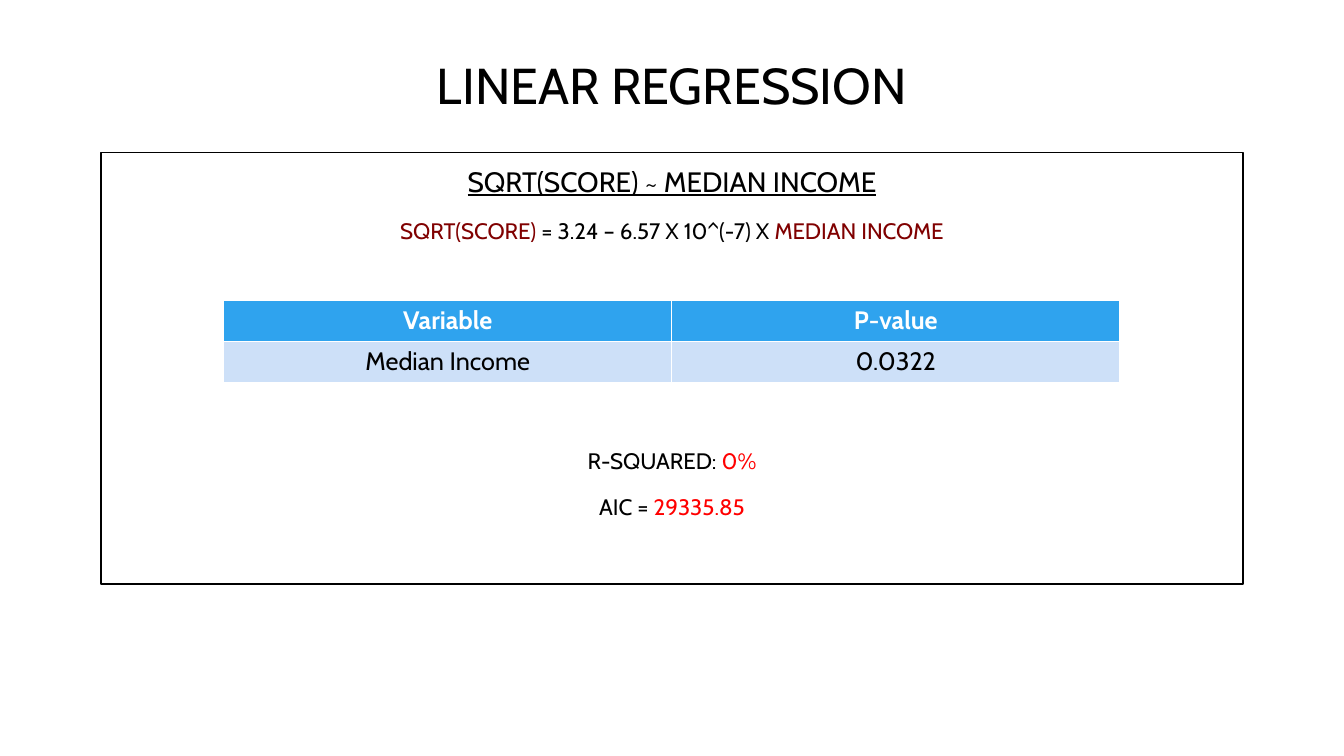
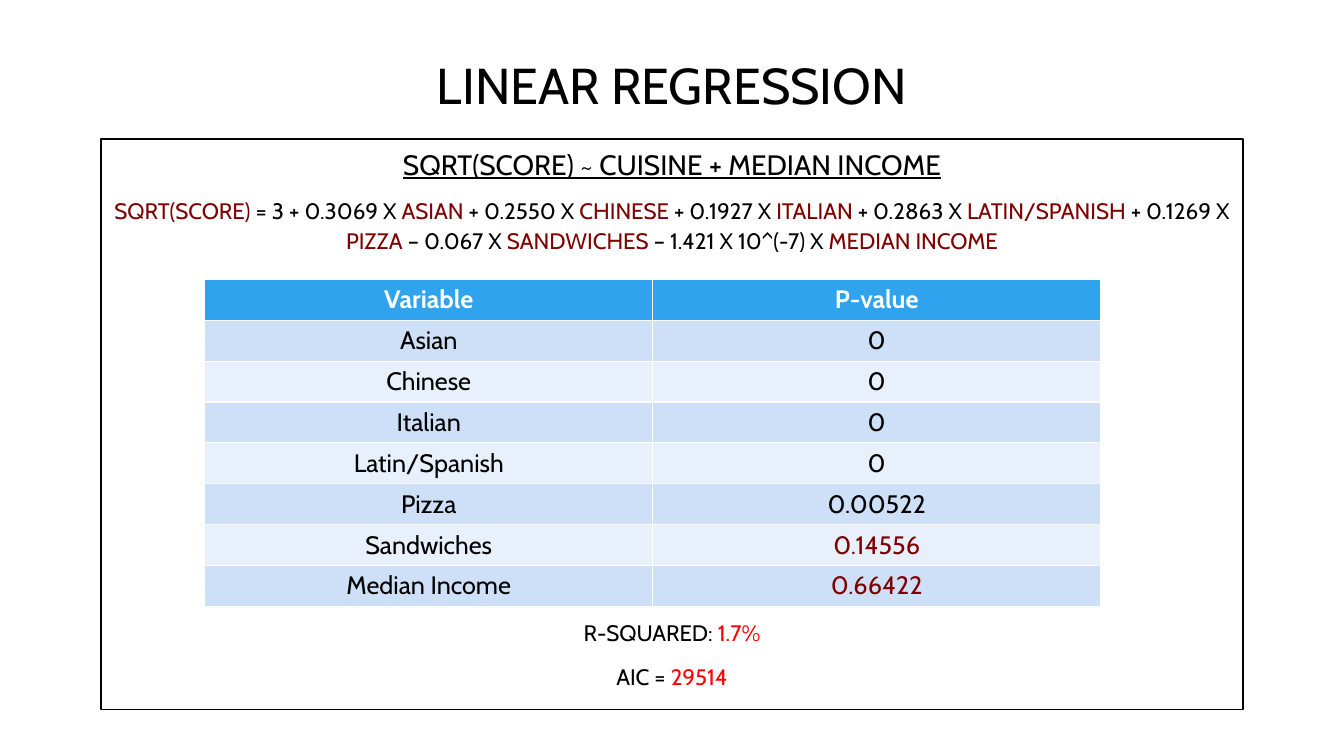
from itertools import cycle

from lxml.etree import SubElement
from pptx import Presentation
from pptx.dml.color import RGBColor
from pptx.enum.text import MSO_ANCHOR, MSO_AUTO_SIZE, PP_ALIGN
from pptx.oxml.ns import qn
from pptx.util import Cm, Pt

FONT = "Cabin"
BLACK = RGBColor(0x00, 0x00, 0x00)
WHITE = RGBColor(0xFF, 0xFF, 0xFF)
MAROON = RGBColor(0x80, 0x00, 0x00)
RED = RGBColor(0xFF, 0x00, 0x00)
HEADER_BLUE = RGBColor(0x2F, 0xA3, 0xEE)
BAND_BLUES = (RGBColor(0xCD, 0xE0, 0xF8), RGBColor(0xE8, 0xF0, 0xFC))

TITLE = "LINEAR REGRESSION"
HEADER = ("Variable", "P-value")
SIGNIFICANCE = 0.05

# Content: equations alternate between variables and coefficients
MODELS = [
    {
        "formula": "SQRT(SCORE) ~ MEDIAN INCOME",
        "equation": ["SQRT(SCORE) ", "= 3.24 – 6.57 X 10^(-7) X ", "MEDIAN INCOME"],
        "p_values": [("Median Income", "0.0322")],
        "r_squared": "0%",
        "aic": "29335.85",
        "panel_top": 3.84, "panel_height": 10.87, "line_spacing": 1.2,
        "table_left": 5.64, "table_top": 7.57, "table_gap": 141,
    },
    {
        "formula": "SQRT(SCORE) ~ CUISINE + MEDIAN INCOME",
        "equation": ["SQRT(SCORE) ", "= 3 + 0.3069 X ", "ASIAN", " + 0.2550 X ",
                     "CHINESE", " + 0.1927 X ", "ITALIAN", " + 0.2863 X ",
                     "LATIN/SPANISH", " + 0.1269 X ", "PIZZA", " – 0.067 X ",
                     "SANDWICHES", " – 1.421 X 10^(-7) X ", "MEDIAN INCOME"],
        "p_values": [("Asian", "0"), ("Chinese", "0"), ("Italian", "0"),
                     ("Latin/Spanish", "0"), ("Pizza", "0.00522"),
                     ("Sandwiches", "0.14556"), ("Median Income", "0.66422")],
        "r_squared": "1.7%",
        "aic": "29514",
        "panel_top": 3.5, "panel_height": 14.38, "line_spacing": 1.1,
        "table_left": 5.16, "table_top": 7.04, "table_gap": 259,
    },
]

# Shared layout, in centimetres
SLIDE_WIDTH, SLIDE_HEIGHT = 33.87, 19.05
MARGIN = 2.54
CONTENT_WIDTH = SLIDE_WIDTH - 2 * MARGIN
TITLE_HEIGHT = 4.45
TABLE_WIDTH, ROW_HEIGHT = 22.58, 1.03


def place(placeholder, top, height):
    placeholder.left, placeholder.top = Cm(MARGIN), Cm(top)
    placeholder.width, placeholder.height = Cm(CONTENT_WIDTH), Cm(height)
    placeholder.text_frame.auto_size = MSO_AUTO_SIZE.NONE


def style(paragraph, size, color=BLACK, bold=False):
    paragraph.alignment = PP_ALIGN.CENTER
    font = paragraph.font
    font.name, font.size, font.bold = FONT, Pt(size), bold
    font.color.rgb = color


def add_title(slide):
    title = slide.shapes.title
    place(title, 0, TITLE_HEIGHT)
    title.text_frame.vertical_anchor = MSO_ANCHOR.MIDDLE
    title.text = TITLE
    heading = title.text_frame.paragraphs[0]
    heading.line_spacing = 0.9
    style(heading, 36)


def add_panel(slide, model):
    panel = slide.placeholders[1]
    place(panel, model["panel_top"], model["panel_height"])
    panel.fill.solid()
    panel.fill.fore_color.rgb = WHITE
    panel.line.color.rgb = BLACK
    panel.line.width = Pt(1.25)

    # Each line: parts, alternating colours, size, space before
    lines = [
        ([model["formula"]], (BLACK,), 20, 0),
        (model["equation"], (MAROON, BLACK), 16, 10),
        (["R-SQUARED: ", model["r_squared"]], (BLACK, RED), 16, model["table_gap"]),
        (["AIC = ", model["aic"]], (BLACK, RED), 16, 10),
    ]
    frame = panel.text_frame
    for index, (parts, colors, size, space_before) in enumerate(lines):
        line = frame.add_paragraph() if index else frame.paragraphs[0]
        properties = line._p.get_or_add_pPr()
        properties.set("marL", "0")
        properties.set("indent", "0")
        SubElement(properties, qn("a:buNone"))
        line.line_spacing = model["line_spacing"]
        line.space_before = Pt(space_before)
        style(line, size)
        for part, color in zip(parts, cycle(colors)):
            run = line.add_run()
            run.text = part
            if color != BLACK:
                run.font.color.rgb = color
    frame.paragraphs[0].font.underline = True


def add_p_values(slide, model):
    rows = [HEADER] + model["p_values"]
    table = slide.shapes.add_table(
        len(rows), len(HEADER), Cm(model["table_left"]), Cm(model["table_top"]),
        Cm(TABLE_WIDTH), Cm(ROW_HEIGHT * len(rows))).table
    for r, row in enumerate(rows):
        is_header = r == 0
        for c, value in enumerate(row):
            cell = table.cell(r, c)
            cell.text = value
            cell.fill.solid()
            cell.fill.fore_color.rgb = HEADER_BLUE if is_header else BAND_BLUES[(r - 1) % 2]
            if is_header:
                color = WHITE
            elif c == 1 and float(value) > SIGNIFICANCE:
                color = MAROON
            else:
                color = BLACK
            style(cell.text_frame.paragraphs[0], 18, color, is_header)


def main():
    deck = Presentation()
    deck.slide_width, deck.slide_height = Cm(SLIDE_WIDTH), Cm(SLIDE_HEIGHT)
    for model in MODELS:
        slide = deck.slides.add_slide(deck.slide_layouts[1])
        add_title(slide)
        add_panel(slide, model)
        add_p_values(slide, model)
    deck.save("out.pptx")


if __name__ == "__main__":
    main()
